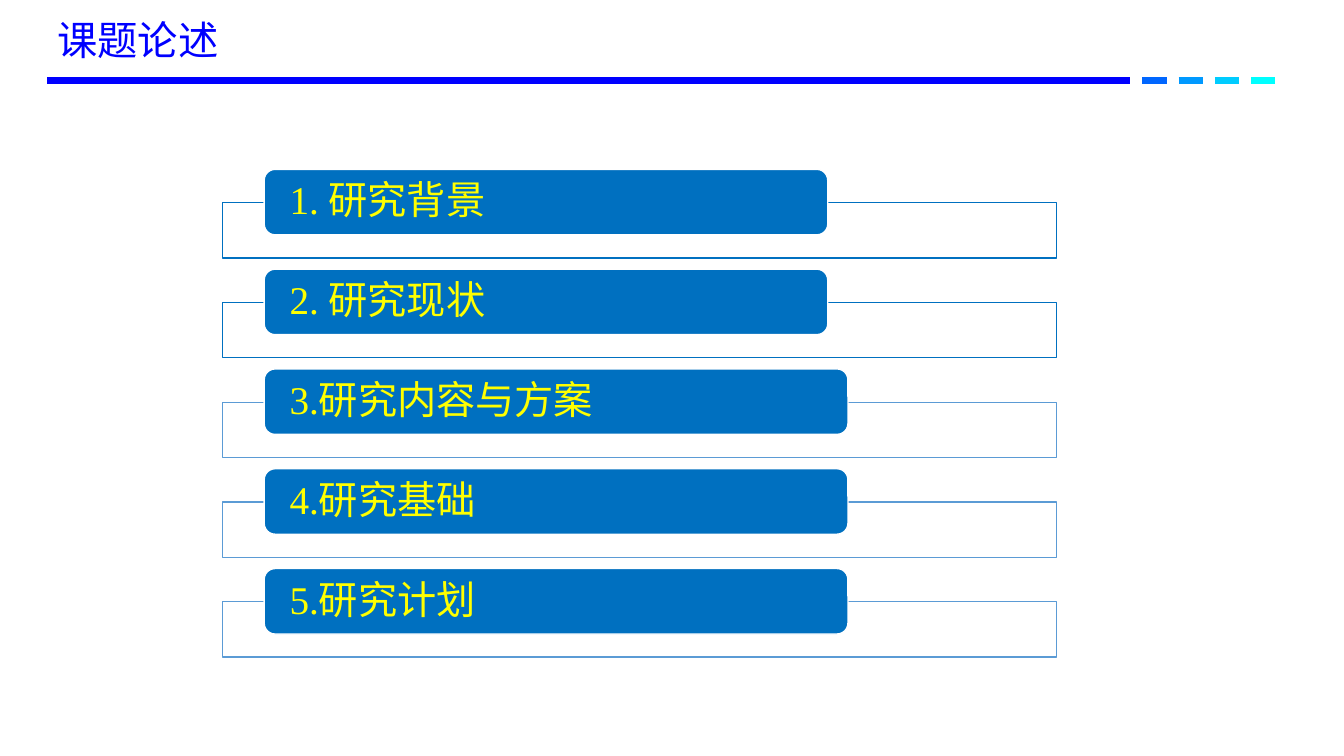
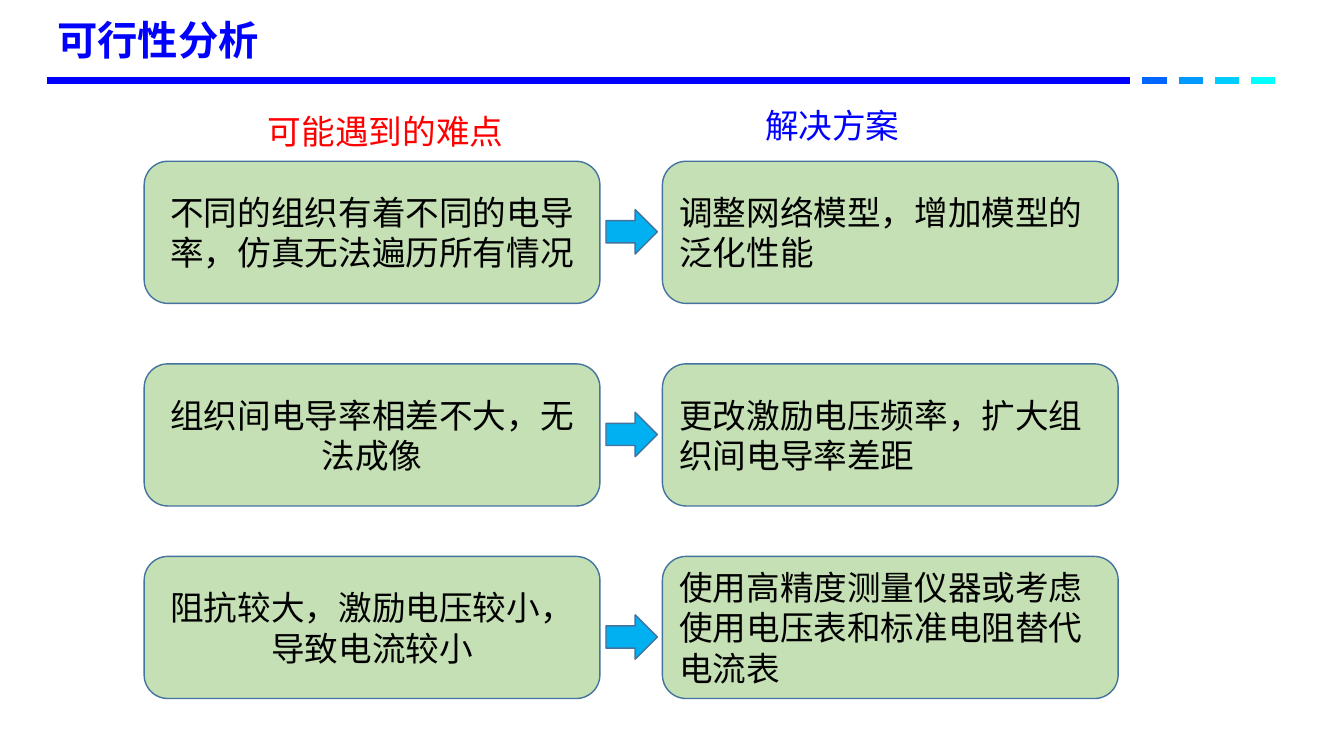
from dataclasses import dataclass

from lxml.etree import SubElement
from pptx import Presentation
from pptx.dml.color import RGBColor
from pptx.enum.shapes import MSO_CONNECTOR as Connector, MSO_SHAPE as Shape
from pptx.enum.text import MSO_ANCHOR as Anchor, PP_ALIGN as Align
from pptx.oxml.ns import qn
from pptx.util import Inches, Pt


@dataclass(frozen=True)
class Theme:
    """Colours, fonts and type sizes shared by the slides."""
    blue: str = "0000FF"
    red: str = "FF0000"
    black: str = "000000"
    white: str = "FFFFFF"
    yellow: str = "FFFF00"
    bar: str = "0070C0"
    pale_frame: str = "5B9BD5"
    card: str = "C5E0B4"
    outline: str = "43739E"
    arrow: str = "00B0F0"
    dashes: tuple = ("0066FF", "0099FF", "00CCFF", "00FFFF")
    cjk: str = "Noto Sans CJK SC"
    serif: str = "Times New Roman"
    title_size: float = 28.8
    topic_size: float = 28
    body_size: float = 24


THEME = Theme()

TOPICS = [
    ("1. 研究背景", 5.59, THEME.bar),
    ("2. 研究现状", 5.59, THEME.bar),
    ("3.研究内容与方案", 5.79, THEME.pale_frame),
    ("4.研究基础", 5.79, THEME.pale_frame),
    ("5.研究计划", 5.79, THEME.pale_frame),
]

FEASIBILITY = [
    (1.6, "不同的组织有着不同的电导率，仿真无法遍历所有情况",
     "调整网络模型，增加模型的泛化性能"),
    (3.61, "组织间电导率相差不大，无法成像",
     "更改激励电压频率，扩大组织间电导率差距"),
    (5.52, "阻抗较大，激励电压较小，导致电流较小",
     "使用高精度测量仪器或考虑使用电压表和标准电阻替代电流表"),
]


def write(frame, text, size, color, font=THEME.cjk, bold=False,
          align=Align.LEFT, spacing=1.0, anchor=Anchor.MIDDLE):
    """Put one styled paragraph into a text frame."""
    frame.word_wrap = True
    frame.vertical_anchor = anchor
    paragraph = frame.paragraphs[0]
    paragraph.text = text
    paragraph.alignment = align
    paragraph.line_spacing = spacing
    style = paragraph.font
    style.size, style.bold, style.name = Pt(size), bold, font
    style.color.rgb = RGBColor.from_string(color)
    run_defaults = paragraph._p.pPr.find(qn("a:defRPr"))
    SubElement(run_defaults, qn("a:ea"), typeface=THEME.cjk)


def add_label(slide, box, text, size, color, **style):
    """Add a text box."""
    label = slide.shapes.add_textbox(*map(Inches, box))
    write(label.text_frame, text, size, color, **style)


def add_block(slide, kind, box, fill, line):
    """Add a flat preset shape with a thin outline."""
    block = slide.shapes.add_shape(kind, *map(Inches, box))
    block.shadow.inherit = False
    block.fill.solid()
    block.fill.fore_color.rgb = RGBColor.from_string(fill)
    block.line.color.rgb = RGBColor.from_string(line)
    block.line.width = Pt(1)
    return block


def add_rule(slide, left, right, color):
    """Add one segment of the rule under the title."""
    rule = slide.shapes.add_connector(
        Connector.STRAIGHT, Inches(left), Inches(0.8), Inches(right), Inches(0.8))
    rule.line.color.rgb = RGBColor.from_string(color)
    rule.line.width = Pt(4.5)
    SubElement(rule._element.spPr, qn("a:effectLst"))


def add_titled_slide(deck, title, bold=False):
    """Add a slide with the shared title and segmented rule."""
    slide = deck.slides.add_slide(deck.slide_layouts[6])
    add_rule(slide, 0.47, 11.21, THEME.blue)
    for i, color in enumerate(THEME.dashes):
        left = 11.33 + 0.36 * i
        add_rule(slide, left, left + 0.24, color)
    add_label(slide, (0.47, 0.16, 7.66, 0.52), title, THEME.title_size,
              THEME.blue, bold=bold, spacing=0.9)
    return slide


def add_topic(slide, top, text, width, frame_color):
    """Add an agenda bar on top of its frame."""
    add_block(slide, Shape.RECTANGLE, (2.21, top + 0.33, 8.27, 0.55),
              THEME.white, frame_color)
    bar = add_block(slide, Shape.ROUNDED_RECTANGLE, (2.62, top, width, 0.65),
                    THEME.bar, THEME.white)
    frame = bar.text_frame
    frame.margin_left = frame.margin_right = Inches(0.22)
    frame.margin_top = frame.margin_bottom = 0
    write(frame, text, THEME.topic_size, THEME.yellow, font=THEME.serif,
          spacing=0.9)


def add_card(slide, left, top, text, align):
    """Add a green card with its statement."""
    card = add_block(slide, Shape.ROUNDED_RECTANGLE, (left, top, 4.52, 1.41),
                     THEME.card, THEME.outline)
    write(card.text_frame, text, THEME.body_size, THEME.black, align=align)


def build_agenda(deck):
    """Build the agenda slide."""
    slide = add_titled_slide(deck, "课题论述")
    for i, topic in enumerate(TOPICS):
        add_topic(slide, 1.68 + 0.99 * i, *topic)


def build_feasibility(deck):
    """Build the slide pairing difficulties with solutions."""
    slide = add_titled_slide(deck, "可行性分析", bold=True)
    for left, top, heading, color in ((2.56, 1.05, "可能遇到的难点", THEME.red),
                                      (7.49, 0.99, "解决方案", THEME.blue)):
        add_label(slide, (left, top, 3.16, 0.5), heading, THEME.body_size,
                  color, anchor=Anchor.TOP)
    for i, (top, difficulty, solution) in enumerate(FEASIBILITY):
        add_card(slide, 1.43, top, difficulty, Align.CENTER)
        add_card(slide, 6.57, top, solution, Align.LEFT)
        add_block(slide, Shape.RIGHT_ARROW, (6.01, 2.08 + 2.01 * i, 0.51, 0.44),
                  THEME.arrow, THEME.outline)


def main():
    """Build and save the presentation."""
    deck = Presentation()
    deck.slide_width, deck.slide_height = Inches(13.33), Inches(7.5)
    build_agenda(deck)
    build_feasibility(deck)
    deck.save("out.pptx")


if __name__ == "__main__":
    main()
